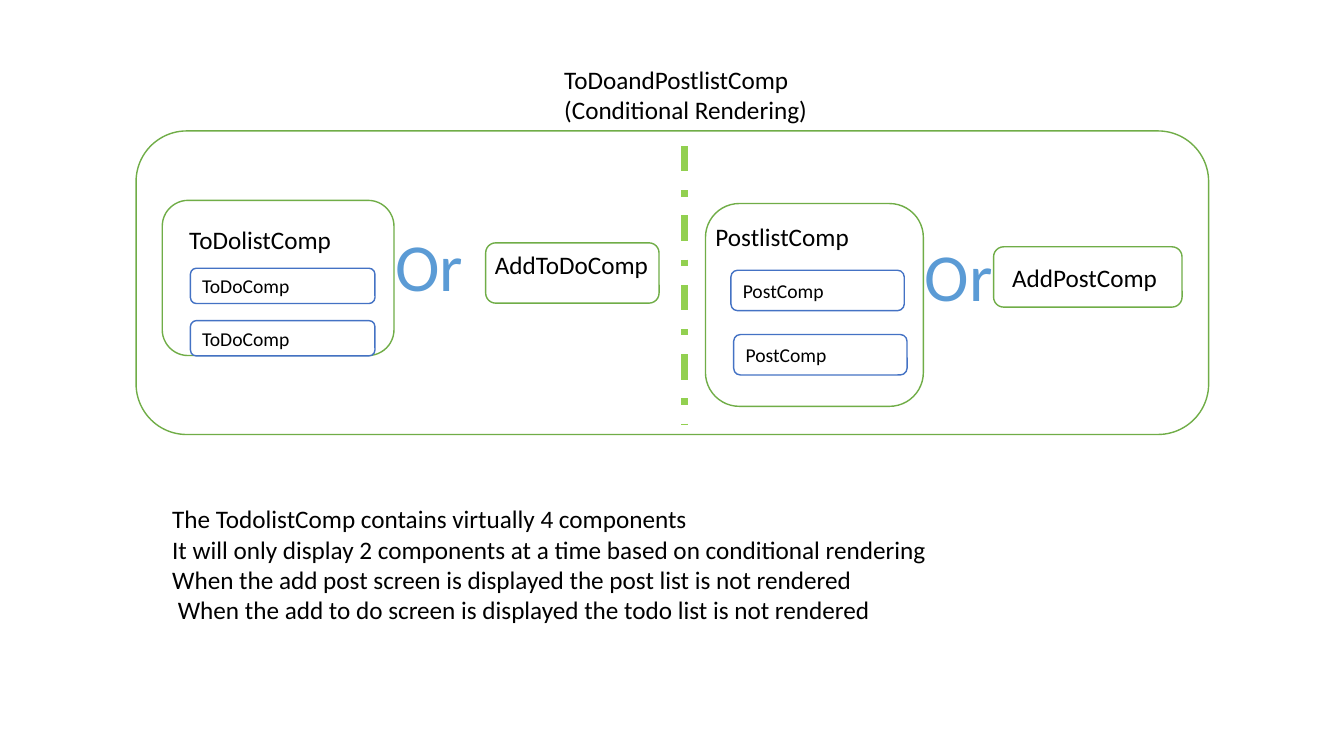
import pptx
import pptx.dml.color
import pptx.enum.dml
import pptx.enum.shapes
import pptx.enum.text
import pptx.oxml
import pptx.util

Cm = pptx.util.Cm
Pt = pptx.util.Pt
RGBColor = pptx.dml.color.RGBColor
Align = pptx.enum.text.PP_ALIGN
Anchor = pptx.enum.text.MSO_ANCHOR
Fit = pptx.enum.text.MSO_AUTO_SIZE

WHITE = RGBColor(0xFF, 0xFF, 0xFF)
BLACK = RGBColor(0x00, 0x00, 0x00)
GREEN = RGBColor(0x70, 0xAD, 0x47)
LIME = RGBColor(0x92, 0xD0, 0x50)
BLUE = RGBColor(0x44, 0x72, 0xC4)
SKY = RGBColor(0x5B, 0x9B, 0xD5)

NOTES = (
    "The TodolistComp contains virtually 4 components",
    "It will only display 2 components at a time based on conditional rendering",
    "When the add post screen is displayed the post list is not rendered",
    " When the add to do screen is displayed the todo list is not rendered",
)


def style(item, values):
    for name, value in values.items():
        setattr(item, name, value)


def write(frame, lines, size, color=BLACK, align=Align.LEFT):
    for index, line in enumerate(lines):
        para = frame.add_paragraph() if index else frame.paragraphs[0]
        para.alignment = align
        run = para.add_run()
        run.text = line
        style(run.font, {"name": "Calibri", "size": Pt(size)})
        run.font.color.rgb = color


def add_box(slide, area, color, text=None, size=14):
    kind = pptx.enum.shapes.MSO_SHAPE.ROUNDED_RECTANGLE
    box = slide.shapes.add_shape(kind, *map(Cm, area))
    box.shadow.inherit = False
    box.fill.solid()
    box.fill.fore_color.rgb = WHITE
    box.line.color.rgb = color
    box.line.width = Pt(1)
    if text:
        style(box.text_frame, {"vertical_anchor": Anchor.MIDDLE, "word_wrap": True})
        write(box.text_frame, [text], size)


def add_text(slide, area, *lines):
    frame = slide.shapes.add_textbox(*map(Cm, area)).text_frame
    style(frame, {"word_wrap": True, "auto_size": Fit.SHAPE_TO_FIT_TEXT})
    write(frame, lines, 18)


def add_or(slide, left, top):
    frame = slide.shapes.add_textbox(Cm(left), Cm(top), Cm(2.24), Cm(2.31)).text_frame
    style(frame, {"word_wrap": False, "auto_size": Fit.SHAPE_TO_FIT_TEXT})
    write(frame, ["Or"], 48, SKY, Align.CENTER)


def add_split(slide, left, top, end):
    kind = pptx.enum.shapes.MSO_CONNECTOR.STRAIGHT
    split = slide.shapes.add_connector(kind, Cm(left), Cm(top), Cm(left), Cm(end))
    split.line.color.rgb = LIME
    dash = pptx.enum.dml.MSO_LINE.DASH_DOT
    style(split.line, {"width": Pt(4.5), "dash_style": dash})
    effect = '<a:effectLst xmlns:a="http://schemas.openxmlformats.org/drawingml/2006/main"/>'
    split.element.spPr.append(pptx.oxml.parse_xml(effect))


def main():
    deck = pptx.Presentation()
    style(deck, {"slide_width": Cm(33.87), "slide_height": Cm(19.05)})
    slide = deck.slides.add_slide(deck.slide_layouts[6])

    add_box(slide, (3.43, 3.3, 27.03, 7.65), GREEN)
    add_text(slide, (13.97, 1.5, 6.86, 1.8), "ToDoandPostlistComp (Conditional Rendering)")
    add_split(slide, 17.25, 3.68, 10.69)

    add_box(slide, (4.09, 5.05, 5.84, 3.91), GREEN)
    add_text(slide, (4.52, 5.54, 7.26, 1.02), "ToDolistComp")
    for top in (6.76, 8.08):
        add_box(slide, (4.8, top, 4.65, 0.89), BLUE, "ToDoComp")
    add_box(slide, (12.24, 6.12, 4.37, 1.52), GREEN)
    add_text(slide, (12.22, 6.17, 6.86, 1.02), "AddToDoComp")
    add_or(slide, 9.7, 5.54)

    add_box(slide, (17.78, 5.13, 5.49, 5.11), GREEN)
    add_text(slide, (17.78, 5.44, 6.86, 1.02), "PostlistComp")
    for left, top in ((18.42, 6.81), (18.49, 8.43)):
        add_box(slide, (left, top, 4.37, 1.02), BLUE, "PostComp")
    add_box(slide, (25.04, 6.22, 4.75, 1.52), GREEN, " AddPostComp", 18)
    add_or(slide, 23.04, 5.77)

    add_text(slide, (4.09, 12.57, 26.37, 3.33), *NOTES)
    deck.save("out.pptx")


if __name__ == "__main__":
    main()
